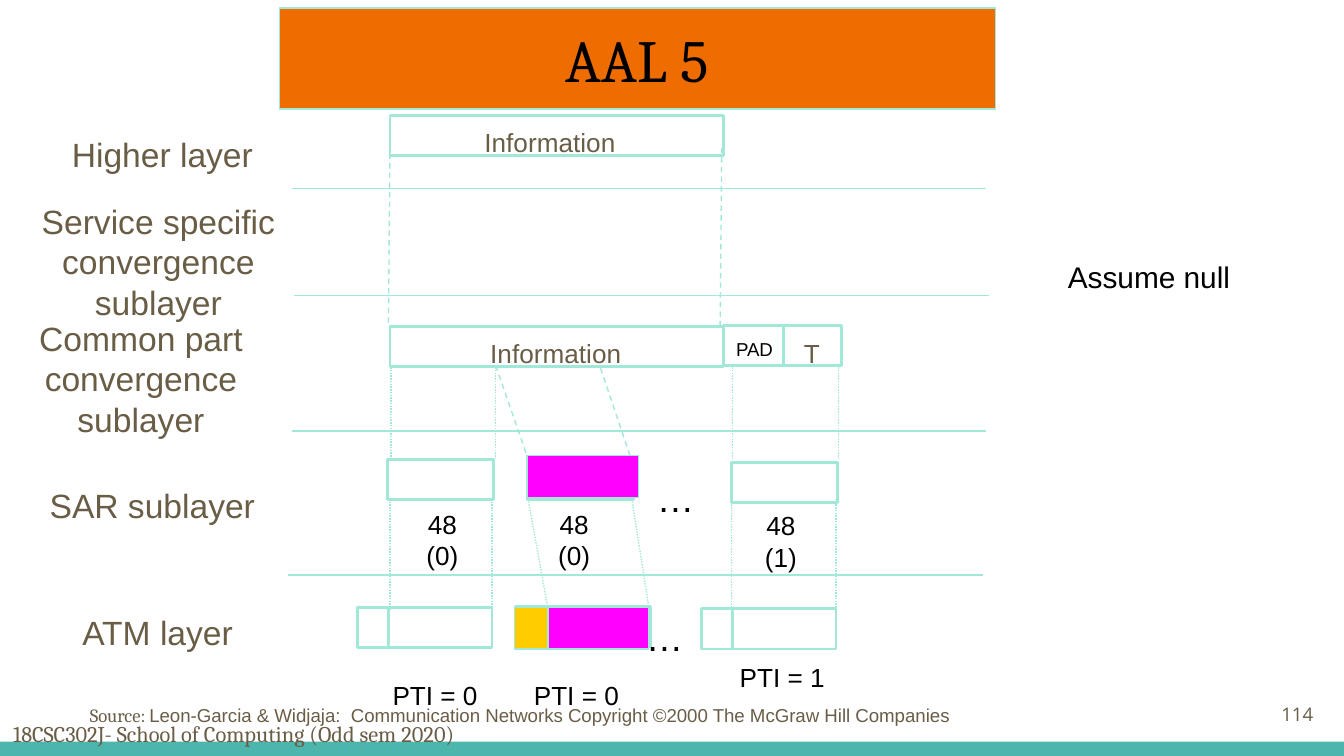
from lxml import etree
from pptx import Presentation
from pptx.dml.color import RGBColor
from pptx.enum.dml import MSO_LINE
from pptx.enum.shapes import MSO_CONNECTOR, MSO_SHAPE
from pptx.enum.text import MSO_ANCHOR, PP_ALIGN
from pptx.oxml.ns import qn
from pptx.util import Cm, Pt

RECT = MSO_SHAPE.RECTANGLE
STRAIGHT = MSO_CONNECTOR.STRAIGHT
DASH, DOT = MSO_LINE.DASH, MSO_LINE.ROUND_DOT
TOP, MIDDLE = MSO_ANCHOR.TOP, MSO_ANCHOR.MIDDLE
LEFT, CENTER, RIGHT = PP_ALIGN.LEFT, PP_ALIGN.CENTER, PP_ALIGN.RIGHT

BROWN = RGBColor(0x69, 0x5D, 0x46)
BLACK = RGBColor(0x00, 0x00, 0x00)
MINT = RGBColor(0xA1, 0xE8, 0xD9)
TEAL = RGBColor(0x4D, 0xB6, 0xAC)
ORANGE = RGBColor(0xEF, 0x6C, 0x00)
MAGENTA = RGBColor(0xFF, 0x00, 0xFF)
YELLOW = RGBColor(0xFF, 0xCC, 0x00)

THIN, THICK = 0.75, 1.5
CELL_H = 0.76


class Diagram:
    """Draws the elements of the slide in one style; lengths are in cm."""

    def __init__(self, slide):
        self.shapes = slide.shapes

    def box(self, x, y, w, h, fill=None, line=MINT, width=THICK):
        sp = self.shapes.add_shape(RECT, Cm(x), Cm(y), Cm(w), Cm(h))
        sp.shadow.inherit = False
        if fill is None:
            sp.fill.background()
        else:
            sp.fill.solid()
            sp.fill.fore_color.rgb = fill
        if line is None:
            sp.line.fill.background()
        else:
            sp.line.color.rgb = line
            sp.line.width = Pt(width)
        return sp

    def line(self, x1, y1, x2, y2, width=THIN, dash=None):
        cxn = self.shapes.add_connector(STRAIGHT, Cm(x1), Cm(y1), Cm(x2), Cm(y2))
        cxn.line.color.rgb = MINT
        cxn.line.width = Pt(width)
        if dash is not None:
            cxn.line.dash_style = dash
        etree.SubElement(cxn._element.spPr, qn("a:effectLst"))

    def label(self, sp, text, size, color, font="Arial", align=CENTER,
              anchor=MIDDLE, wrap=True):
        tf = sp.text_frame
        tf.word_wrap = wrap
        tf.vertical_anchor = anchor
        p = tf.paragraphs[0]
        p.text = text
        p.alignment = align
        p.font.size = Pt(size)
        p.font.name = font
        p.font.color.rgb = color
        return p

    def text(self, x, y, w, h, text, size=14, color=BLACK, **style):
        sp = self.shapes.add_textbox(Cm(x), Cm(y), Cm(w), Cm(h))
        return self.label(sp, text, size, color, **style)


def main():
    prs = Presentation()
    prs.slide_width, prs.slide_height = Cm(25.4), Cm(14.29)
    d = Diagram(prs.slides.add_slide(prs.slide_layouts[6]))

    # Footer band, course name and page number
    d.box(0, 14.02, 25.4, 0.28, TEAL, line=None)
    d.text(0, 13.49, 14.6, 0.76, "18CSC302J- School of Computing (Odd sem 2020)",
           12, BROWN, font="Cambria", align=LEFT, anchor=TOP)
    d.text(23.55, 12.95, 1.52, 1.09, "114", 10, BROWN, font="Open Sans", align=RIGHT)

    # Layer names and the lines between the layers
    for x, y, w, h, name in [
        (1.09, 2.41, 3.96, 1.02, "Higher layer"),
        (0.48, 3.66, 5.03, 2.57, "Service specific convergence sublayer"),
        (0.25, 5.87, 4.83, 2.57, "Common part convergence sublayer"),
        (0.15, 9.04, 5.46, 1.02, "SAR sublayer"),
        (0.25, 11.43, 5.46, 1.02, "ATM layer"),
    ]:
        d.text(x, y, w, h, name, 18, BROWN)
    for x, y in [(5.51, 3.56), (5.56, 5.59), (5.51, 8.15), (5.44, 10.87)]:
        d.line(x, y, x + 13.13, y)
    d.text(18.72, 4.75, 5.99, 0.94, "Assume null", 16)

    # Information at the higher layer and in the common part
    for y, text_x, text_y in [(2.18, 7.59, 2.26), (6.17, 7.7, 6.25)]:
        d.box(7.37, y, 6.3, CELL_H)
        d.text(text_x, text_y, 5.61, 0.86, "Information", 14, BROWN)

    # Padding and trailer
    d.box(13.67, 6.15, 2.24, CELL_H)
    d.line(14.81, 6.15, 14.81, 6.91, THICK)
    d.text(13.64, 6.25, 1.24, 0.69, "PAD", 10, wrap=False)
    d.text(14.94, 6.25, 0.81, 0.86, "T", 14, BROWN, wrap=False)

    # Dashed projections of the information and of the second segment
    for ends in [(13.64, 2.79, 13.61, 6.15), (7.37, 2.9, 7.34, 6.17),
                 (9.37, 6.91, 10.01, 8.76), (11.35, 6.96, 11.94, 8.71)]:
        d.line(*ends, dash=DASH)

    # Dotted projections: common part to SAR, then SAR to ATM
    for x in (7.39, 9.37, 13.84, 15.85):
        d.line(x, 6.94, x, 8.67, dash=DOT)
    for x1, x2 in [(7.37, 7.37), (9.3, 9.3), (9.98, 10.36),
                   (11.94, 12.27), (13.82, 13.82), (15.8, 15.8)]:
        d.line(x1, 9.43, x2, 11.53, dash=DOT)

    # SAR segments with their lengths
    for x, y in [(7.32, 8.69), (9.96, 8.69), (13.82, 8.74)]:
        d.box(x, y, 2.01, CELL_H)
    for x, y, size in [(7.75, 9.47, "48 (0)"), (10.24, 9.47, "48 (0)"),
                       (14.15, 9.5, "48 (1)")]:
        d.text(x, y, 1.22, 1.45, size)

    # ATM cells with header and payload type
    for x, y in [(6.76, 11.48), (9.75, 11.46), (13.26, 11.51)]:
        d.box(x, y, 2.54, CELL_H)
        d.line(x + 0.58, y, x + 0.58, y + CELL_H, THICK)
    for x, y, pti in [(7.16, 12.7, 0), (9.83, 12.7, 0), (13.72, 12.37, 1)]:
        d.text(x, y, 2.13, 0.86, f"PTI = {pti}", wrap=False)

    # Ellipses for the segments and cells left out
    for x, y in [(12.12, 8.84), (11.91, 11.48)]:
        d.text(x, y, 1.3, 1.12, "…", 20)

    # Highlighted segment, payload and header
    for x, y, w, fill in [(9.96, 8.61, 2.11, MAGENTA), (10.36, 11.48, 1.9, MAGENTA),
                          (9.73, 11.48, 0.63, YELLOW)]:
        d.box(x, y, w, 0.79, fill, width=THIN)

    # Title
    title = d.box(5.28, 0.15, 13.54, 1.91, ORANGE, width=THIN)
    d.label(title, "AAL 5", 32, BLACK, font="Cambria", wrap=False)

    # Source line
    p = d.text(1.45, 13.18, 22.53, 1.12, "Source: ", 10, BROWN,
               align=LEFT, anchor=TOP)
    p.runs[0].font.name = "Cambria"
    r = p.add_run()
    r.text = ("Leon-Garcia & Widjaja:  Communication Networks "
              "Copyright ©2000 The McGraw Hill Companies")

    prs.save("out.pptx")


if __name__ == "__main__":
    main()
